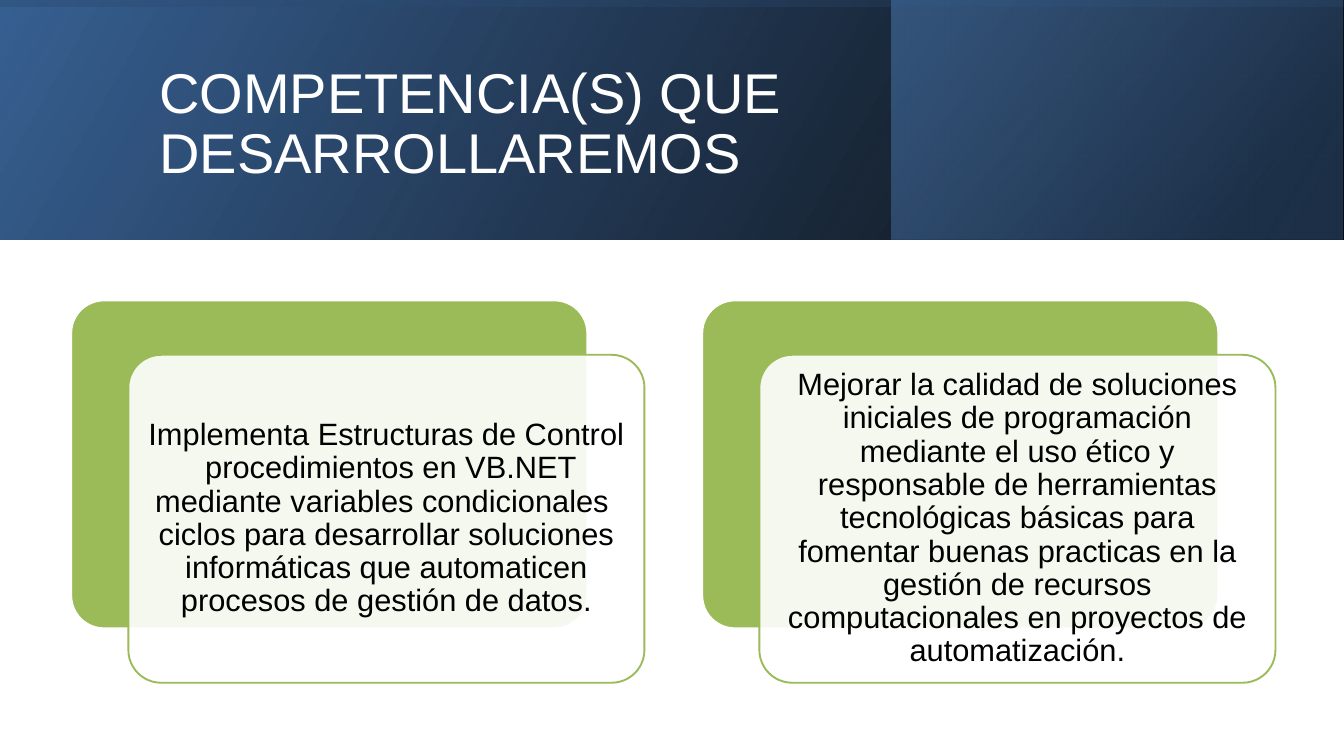
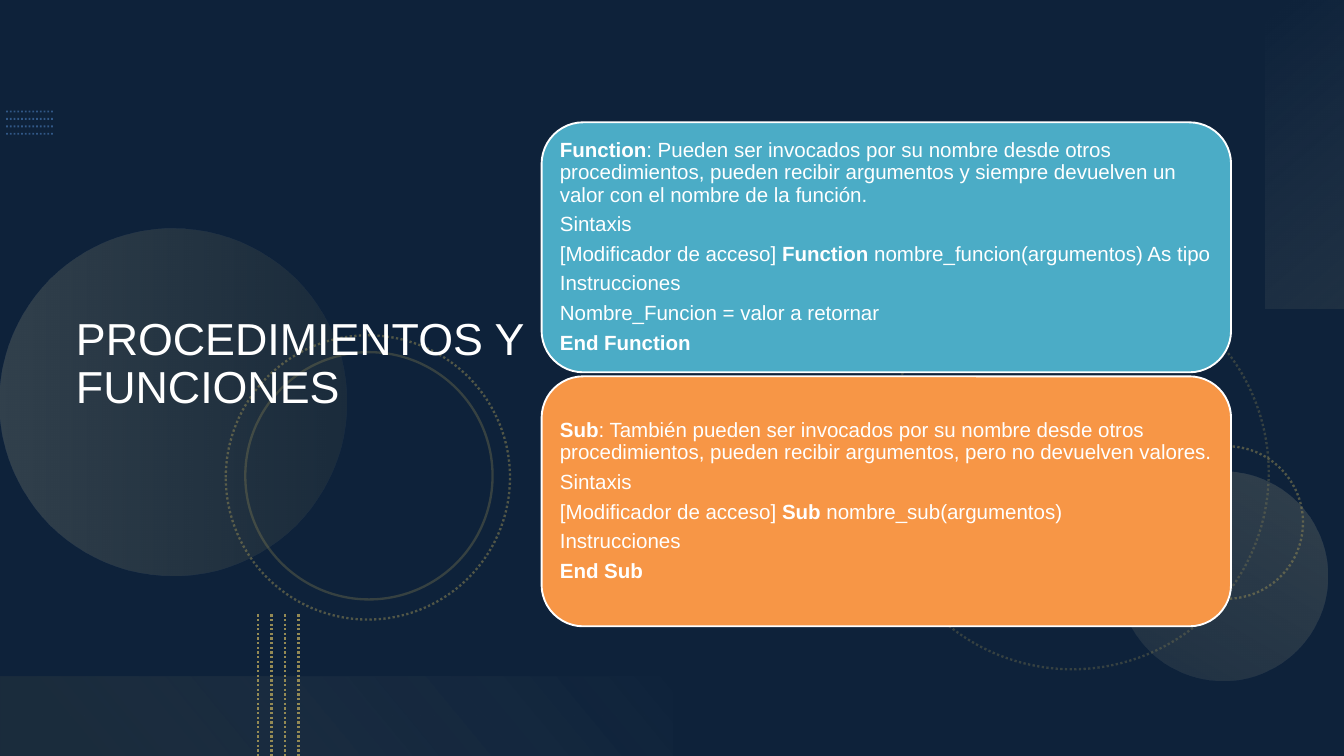
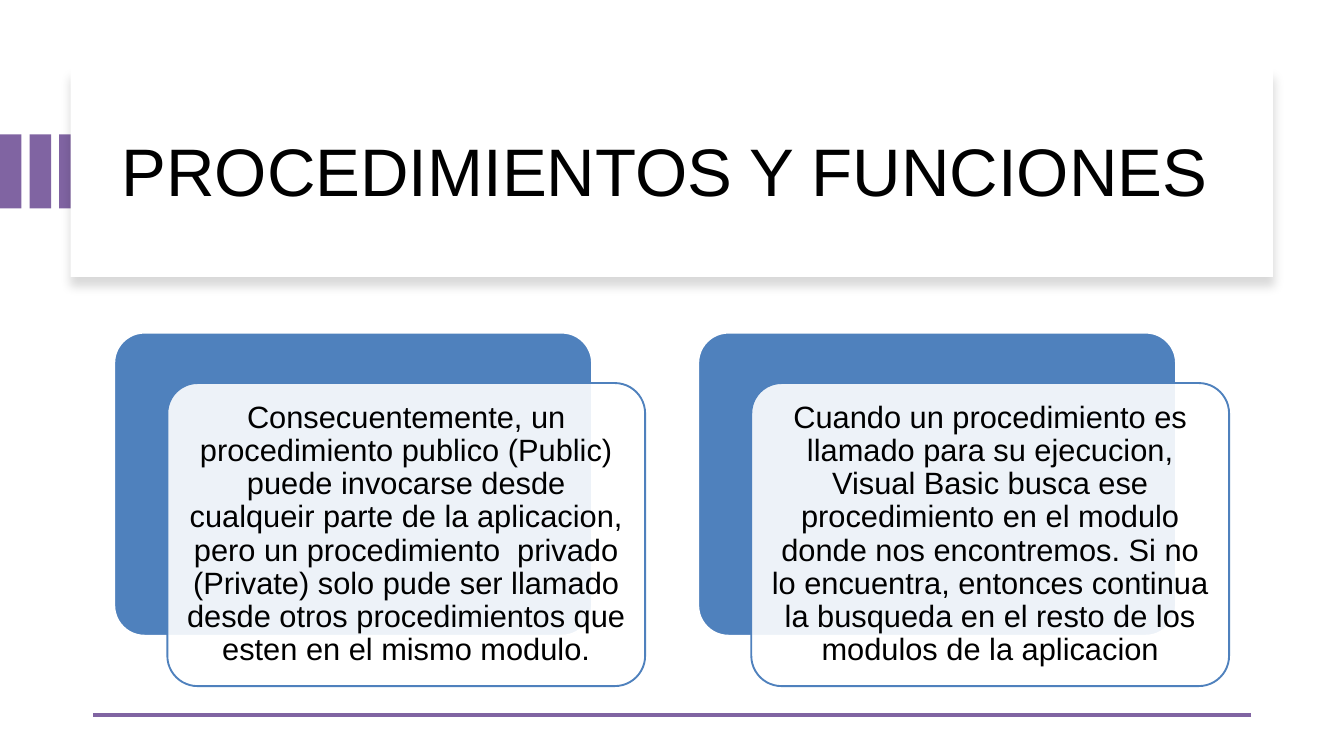
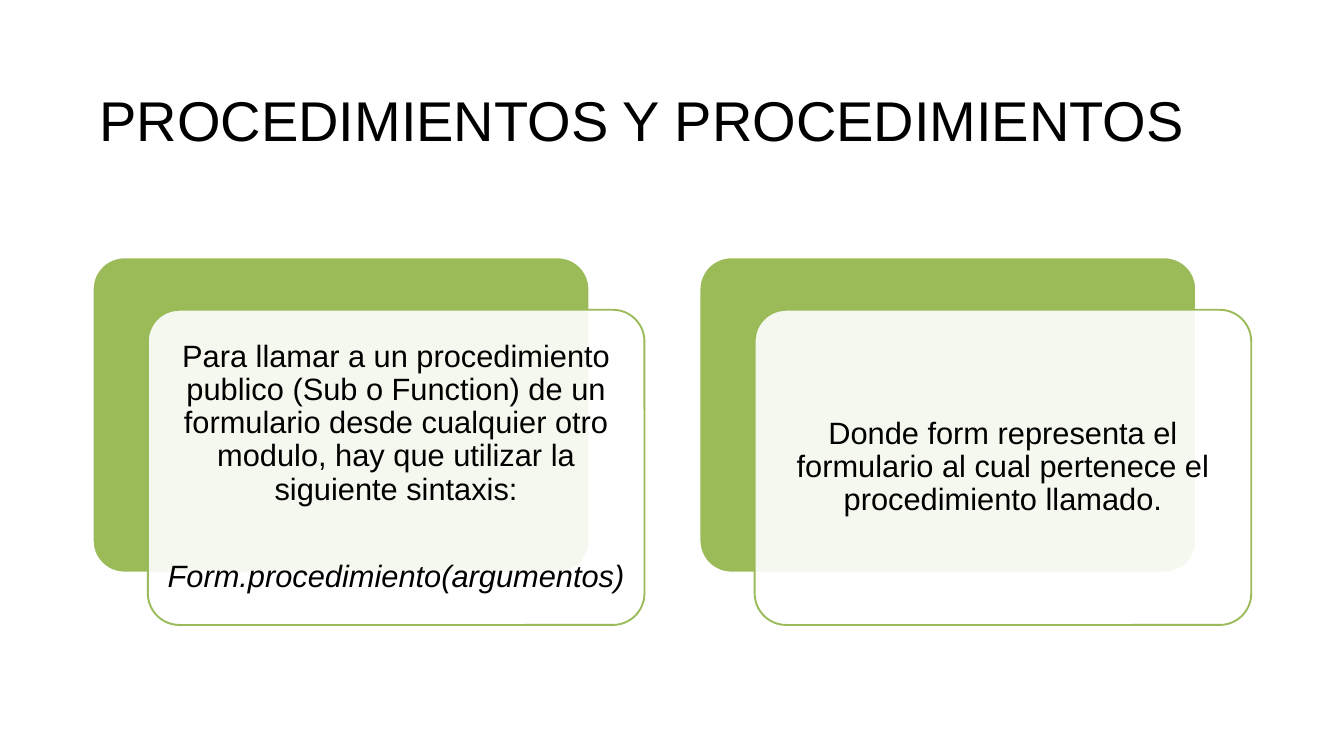
from dataclasses import dataclass
from typing import NamedTuple, Optional

import lxml.etree
import pptx
import pptx.dml.color
import pptx.enum.dml
import pptx.enum.shapes
import pptx.enum.text
import pptx.oxml.ns
import pptx.util
from pptx.presentation import Presentation
from pptx.shapes.autoshape import Shape
from pptx.slide import Slide

PX = 9144
FONT = "Arial"
WHITE, BLACK = "FFFFFF", "000000"
NAVY, SKY, DEEP, BLUE = "376092", "558ED5", "254061", "4F81BD"
GREEN, PURPLE, TEAL, ORANGE = "9BBB59", "8064A2", "4BACC6", "F79646"
OLIVE, SAND = "948A54", "C4BD97"
RECT = pptx.enum.shapes.MSO_SHAPE.RECTANGLE
ROUND = pptx.enum.shapes.MSO_SHAPE.ROUNDED_RECTANGLE
OVAL = pptx.enum.shapes.MSO_SHAPE.OVAL
DOTS = pptx.enum.dml.MSO_LINE.ROUND_DOT
LEFT = pptx.enum.text.PP_ALIGN.LEFT
CENTER = pptx.enum.text.PP_ALIGN.CENTER


class Box(NamedTuple):
    left: int
    top: int
    width: int
    height: int

    def moved(self, dx: int, dy: int) -> "Box":
        return Box(self.left + dx, self.top + dy, self.width, self.height)


class Stop(NamedTuple):
    position: int
    color: str
    alpha: int = 100


class Stroke(NamedTuple):
    color: str
    width: float
    dotted: bool = False
    alpha: int = 100


class Paragraph(NamedTuple):
    text: str
    italic: bool = False
    before: int = 0


@dataclass(frozen=True)
class Gradient:
    box: Box
    stops: tuple[Stop, ...]
    angle: int
    rotation: int = 0
    flipped: bool = False
    kind: pptx.enum.shapes.MSO_SHAPE = RECT


@dataclass(frozen=True)
class CardRow:
    first: Box
    step: int
    shift: tuple[int, int]
    color: str


class Ring(NamedTuple):
    left: int
    top: int
    size: int
    stroke: Stroke


class Routine(NamedTuple):
    color: str
    paragraphs: list[Paragraph]


def rgb(color: str) -> pptx.dml.color.RGBColor:
    return pptx.dml.color.RGBColor.from_string(color)


def px(length: int) -> int:
    return pptx.util.Emu(length * PX)


def add_child(parent, tag: str, **attributes):
    child = lxml.etree.SubElement(parent, pptx.oxml.ns.qn(tag))
    for name, value in attributes.items():
        child.set(name, str(value))
    return child


def set_alpha(properties, query: str, alpha: int) -> None:
    if alpha < 100:
        for color in properties.xpath(query):
            add_child(color, "a:alpha", val=alpha * 1000)


def apply_stroke(drawn, stroke: Stroke) -> None:
    drawn.line.color.rgb = rgb(stroke.color)
    drawn.line.width = pptx.util.Pt(stroke.width)
    if stroke.dotted:
        drawn.line.dash_style = DOTS
    set_alpha(drawn._element.spPr, "a:ln/a:solidFill/a:srgbClr", stroke.alpha)


def add_block(slide: Slide, box: Box, color: Optional[str] = None, alpha: int = 100,
              stroke: Optional[Stroke] = None, kind=RECT) -> Shape:
    block = slide.shapes.add_shape(kind, *map(px, box))
    block.shadow.inherit = False
    if color:
        block.fill.solid()
        block.fill.fore_color.rgb = rgb(color)
        set_alpha(block._element.spPr, "a:solidFill/a:srgbClr", alpha)
    else:
        block.fill.background()
    if stroke:
        apply_stroke(block, stroke)
    else:
        block.line.fill.background()
    return block


def add_gradient(slide: Slide, gradient: Gradient) -> None:
    block = add_block(slide, gradient.box, kind=gradient.kind)
    block.rotation = gradient.rotation
    properties = block._element.spPr
    if gradient.flipped:
        properties.find(pptx.oxml.ns.qn("a:xfrm")).set("flipH", "1")
    empty_fill = properties.find(pptx.oxml.ns.qn("a:noFill"))
    fill = add_child(properties, "a:gradFill", rotWithShape=1)
    stops = add_child(fill, "a:gsLst")
    for stop in gradient.stops:
        mark = add_child(stops, "a:gs", pos=stop.position * 1000)
        color = add_child(mark, "a:srgbClr", val=stop.color)
        add_child(color, "a:alpha", val=stop.alpha * 1000)
    add_child(fill, "a:lin", ang=gradient.angle * 60000, scaled=0)
    properties.replace(empty_fill, fill)


def add_line(slide: Slide, start: tuple[int, int], end: tuple[int, int], stroke: Stroke) -> None:
    line = slide.shapes.add_connector(
        pptx.enum.shapes.MSO_CONNECTOR.STRAIGHT, *map(px, start + end))
    apply_stroke(line, stroke)
    add_child(line._element.spPr, "a:effectLst")


def style_run(run, size: int, color: str, bold: bool = False, italic: bool = False) -> None:
    run.font.name = FONT
    run.font.size = pptx.util.Pt(size)
    run.font.color.rgb = rgb(color)
    run.font.bold = bold
    run.font.italic = italic


def prepare_frame(frame) -> None:
    frame.word_wrap = True
    frame.auto_size = pptx.enum.text.MSO_AUTO_SIZE.NONE
    frame.vertical_anchor = pptx.enum.text.MSO_ANCHOR.MIDDLE


def write(block: Shape, paragraphs: list[Paragraph], size: int, color: str,
          alignment, margin: int) -> None:
    frame = block.text_frame
    prepare_frame(frame)
    frame.margin_left = frame.margin_right = px(margin)
    frame.margin_top = frame.margin_bottom = px(margin)
    for index, content in enumerate(paragraphs):
        paragraph = frame.add_paragraph() if index else frame.paragraphs[0]
        paragraph.alignment = alignment
        paragraph.line_spacing = 0.9
        paragraph.space_after = pptx.util.Pt(round(size * 0.35))
        if content.before:
            paragraph.space_before = pptx.util.Pt(content.before)
        for part, text in enumerate(content.text.split("**")):
            if text:
                run = paragraph.add_run()
                run.text = text
                style_run(run, size, color, bold=part % 2 == 1, italic=content.italic)


def place_title(slide: Slide, text: str, box: Box, size: int, color: str) -> None:
    title = slide.shapes.title
    title.left, title.top, title.width, title.height = map(px, box)
    prepare_frame(title.text_frame)
    title.text_frame.text = text
    heading = title.text_frame.paragraphs[0]
    heading.alignment = LEFT
    heading.line_spacing = 0.9
    style_run(heading.runs[0], size, color)
    title._element.getparent().append(title._element)


def add_cards(slide: Slide, row: CardRow, cards: list[list[Paragraph]]) -> None:
    for index, paragraphs in enumerate(cards):
        back_box = row.first.moved(index * row.step, 0)
        back = add_block(slide, back_box, row.color, stroke=Stroke(WHITE, 2), kind=ROUND)
        front = add_block(slide, back_box.moved(*row.shift), WHITE, 90,
                          Stroke(row.color, 2), ROUND)
        back.adjustments[0] = front.adjustments[0] = 0.1
        write(front, paragraphs, 33, BLACK, CENTER, 14)


def new_slide(deck: Presentation, background: str = WHITE) -> Slide:
    slide = deck.slides.add_slide(deck.slide_layouts[5])
    slide.background.fill.solid()
    slide.background.fill.fore_color.rgb = rgb(background)
    return slide


def build_competences(deck: Presentation) -> None:
    slide = new_slide(deck)
    for band in (
        Gradient(Box(0, 0, 2000, 356), (Stop(0, BLACK, 96), Stop(100, NAVY)), 330, flipped=True),
        Gradient(Box(1326, 0, 672, 356), (Stop(19, DEEP, 68), Stop(100, BLUE, 48)), 320,
                 flipped=True),
        Gradient(Box(822, -822, 356, 2000), (Stop(23, NAVY, 16), Stop(99, BLACK, 45)), 350,
                 270, True),
    ):
        add_gradient(slide, band)
    place_title(slide, "COMPETENCIA(S) QUE DESARROLLAREMOS", Box(227, 57, 1594, 259), 60, WHITE)
    add_cards(slide, CardRow(Box(106, 447, 768, 488), 939, (85, 81), GREEN), [
        [Paragraph("Implementa Estructuras de Control  procedimientos en VB.NET mediante "
                   "variables condicionales  ciclos para desarrollar soluciones informáticas "
                   "que automaticen procesos de gestión de datos.")],
        [Paragraph("Mejorar la calidad de soluciones iniciales de programación mediante el "
                   "uso ético y responsable de herramientas tecnológicas básicas para "
                   "fomentar buenas practicas en la gestión de recursos computacionales en "
                   "proyectos de automatización.")],
    ])


def draw_night_backdrop(slide: Slide) -> None:
    add_block(slide, Box(0, 0, 2000, 1125), BLACK, 53)
    for index in range(4):
        height = 199 - index * 11
        add_line(slide, (9, height), (80, height), Stroke(SKY, 2, True, 50))
    for disc in (
        Gradient(Box(0, 340, 516, 516), (Stop(0, SAND, 20), Stop(100, OLIVE, 10)), 90, 270,
                 kind=OVAL),
        Gradient(Box(1665, 701, 311, 311), (Stop(0, SAND, 10), Stop(100, SAND, 20)), 90, 210,
                 kind=OVAL),
    ):
        add_gradient(slide, disc)
    for ring in (
        Ring(1303, 411, 585, Stroke(OLIVE, 2.5, True, 30)),
        Ring(1712, 664, 227, Stroke(OLIVE, 2.5, True, 50)),
        Ring(336, 499, 423, Stroke(OLIVE, 2.5, True, 50)),
        Ring(365, 524, 368, Stroke(OLIVE, 2.5, False, 30)),
    ):
        add_block(slide, Box(ring.left, ring.top, ring.size, ring.size),
                  stroke=ring.stroke, kind=OVAL)
    for corner in (
        Gradient(Box(1712, 171, 459, 117), (Stop(0, "F8F7F3", 0), Stop(100, SAND, 10)), 140, 270),
        Gradient(Box(0, 1007, 1000, 117), (Stop(10, OLIVE, 10), Stop(100, "F5F4ED", 0)), 140, 180),
    ):
        add_gradient(slide, corner)
    for index in range(4):
        across = 444 - index * 20
        add_line(slide, (across, 914), (across, 1125), Stroke(OLIVE, 2.5, True))


def build_syntax(deck: Presentation) -> None:
    slide = new_slide(deck, "1F497D")
    draw_night_backdrop(slide)
    place_title(slide, "PROCEDIMIENTOS Y FUNCIONES", Box(103, 81, 688, 925), 48, WHITE)
    syntax, instructions = Paragraph("Sintaxis"), Paragraph("Instrucciones")
    routines = [
        Routine(TEAL, [
            Paragraph("**Function**: Pueden ser invocados por su nombre desde otros "
                      "procedimientos, pueden recibir argumentos y siempre devuelven un "
                      "valor con el nombre de la función."),
            syntax,
            Paragraph("[Modificador de acceso] **Function **nombre_funcion(argumentos) As tipo"),
            instructions,
            Paragraph("Nombre_Funcion = valor a retornar"),
            Paragraph("**End Function**"),
        ]),
        Routine(ORANGE, [
            Paragraph("**Sub**: También pueden ser invocados por su nombre desde otros "
                      "procedimientos, pueden recibir argumentos, pero no devuelven valores."),
            syntax,
            Paragraph("[Modificador de acceso] **Sub **nombre_sub(argumentos)"),
            instructions,
            Paragraph("**End Sub**"),
        ]),
    ]
    for index, routine in enumerate(routines):
        panel = add_block(slide, Box(806, 182 + index * 378, 1026, 372), routine.color,
                          stroke=Stroke(WHITE, 2), kind=ROUND)
        write(panel, routine.paragraphs, 22, WHITE, LEFT, 9)


def build_scope(deck: Presentation) -> None:
    slide = new_slide(deck)
    for index in range(3):
        add_block(slide, Box(index * 44, 200, 32, 110), PURPLE)
    header = add_block(slide, Box(105, 101, 1789, 311), WHITE)
    effects = header._element.spPr.find(pptx.oxml.ns.qn("a:effectLst"))
    shadow = add_child(effects, "a:outerShdw", blurRad=pptx.util.Pt(11),
                       dist=pptx.util.Pt(10), dir=90 * 60000, algn="t", rotWithShape=0)
    shade = add_child(shadow, "a:srgbClr", val=BLACK)
    add_child(shade, "a:alpha", val=15000)
    place_title(slide, "PROCEDIMIENTOS Y FUNCIONES", Box(171, 133, 1669, 255), 72, BLACK)
    add_line(slide, (1862, 1064), (138, 1064), Stroke(PURPLE, 4.5))
    add_cards(slide, CardRow(Box(170, 495, 711, 451), 869, (79, 75), BLUE), [
        [Paragraph("Consecuentemente, un procedimiento publico (Public) puede invocarse desde "
                   "cualqueir parte de la aplicacion, pero un procedimiento  privado (Private) "
                   "solo pude ser llamado desde otros procedimientos que esten en el mismo "
                   "modulo.")],
        [Paragraph("Cuando un procedimiento es llamado para su ejecucion, Visual Basic busca "
                   "ese procedimiento en el modulo donde nos encontremos. Si no lo encuentra, "
                   "entonces continua la busqueda en el resto de los modulos de la aplicacion")],
    ])


def build_calls(deck: Presentation) -> None:
    slide = new_slide(deck)
    place_title(slide, "PROCEDIMIENTOS Y PROCEDIMIENTOS", Box(138, 91, 1725, 186), 60, BLACK)
    add_cards(slide, CardRow(Box(138, 383, 739, 469), 903, (82, 78), GREEN), [
        [Paragraph("Para llamar a un procedimiento publico (Sub o Function) de un formulario "
                   "desde cualquier otro modulo, hay que utilizar la siguiente sintaxis:"),
         Paragraph("Form.procedimiento(argumentos)", italic=True, before=46)],
        [Paragraph("Donde form representa el formulario al cual pertenece el procedimiento "
                   "llamado.")],
    ])


def main() -> None:
    deck = pptx.Presentation()
    deck.slide_width, deck.slide_height = px(2000), px(1125)
    for build in (build_competences, build_syntax, build_scope, build_calls):
        build(deck)
    deck.save("out.pptx")


if __name__ == "__main__":
    main()
